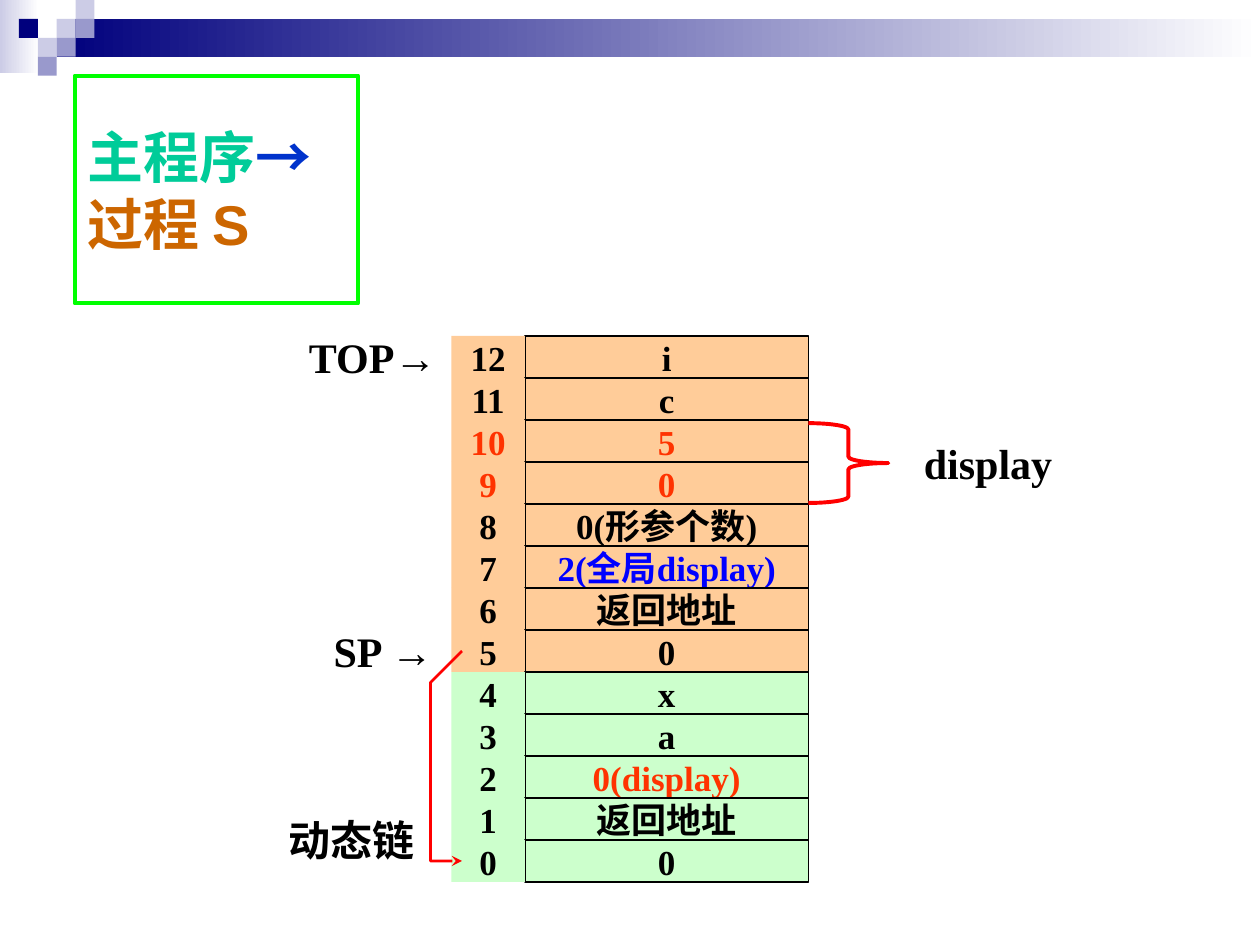
"""Draw the run-time stack after the main program calls procedure S."""
import dataclasses
import typing

import pptx
import pptx.dml.color
import pptx.enum.shapes
import pptx.enum.text
import pptx.oxml
import pptx.oxml.ns
import pptx.util

COLS, ROWS = 120, 90
KIND = pptx.enum.shapes.MSO_SHAPE
ALIGN = pptx.enum.text.PP_ALIGN
MID = pptx.enum.text.MSO_ANCHOR.MIDDLE


@dataclasses.dataclass(frozen=True)
class Theme:
    navy: str = "00007D"
    lilac: str = "9999CC"
    pale: str = "CCCCE6"
    white: str = "FFFFFF"
    black: str = "000000"
    red: str = "FF0000"
    hot: str = "FF3300"
    blue: str = "0000FF"
    lime: str = "00FF00"
    teal: str = "00CC99"
    royal: str = "0033CC"
    brown: str = "CC6600"
    peach: str = "FFCC99"
    mint: str = "CCFFCC"
    sans: str = "Arial"
    serif: str = "Times New Roman"
    cell: int = 20
    label: int = 24
    head: int = 32


T = Theme()


class Box(typing.NamedTuple):
    left: float
    top: float
    width: float
    height: float


class Run(typing.NamedTuple):
    text: str
    size: int
    ink: str = T.black
    face: str = T.serif


class Slot(typing.NamedTuple):
    text: str
    ink: str = T.black
    key: str = T.black


class Label(typing.NamedTuple):
    left: float
    top: float
    runs: list[Run]


class Tile(typing.NamedTuple):
    col: int
    row: int
    fill: str


TOP, STEP = 32, 4
SLOTS = [
    Slot("i"), Slot("c"), Slot("5", T.hot, T.hot), Slot("0", T.hot, T.hot),
    Slot("0(形参个数)"), Slot("2(全局display)", T.blue), Slot("返回地址"),
    Slot("0"), Slot("x"), Slot("a"), Slot("0(display)", T.hot),
    Slot("返回地址"), Slot("0"),
]
FRAME = 5
ARROW = Run("→", T.label, face=T.sans)
LABELS = [
    Label(27, TOP, [Run("TOP", T.label), ARROW]),
    Label(28, 60, [Run("SP ", T.label), ARROW]),
    Label(25, 78, [Run("动态链", T.label)]),
    Label(85.6, 42.1, [Run("display", T.label)]),
]
SIDE = 1.8
TILES = [
    Tile(3, 1, T.pale), Tile(4, 0, T.pale), Tile(4, 1, T.lilac),
    Tile(2, 2, T.pale), Tile(1, 1, T.navy), Tile(3, 2, T.lilac),
    Tile(2, 3, T.lilac),
]
FADES = [
    (Box(0, 0, 3.7, 7), T.pale),
    (Box(3 * SIDE, SIDE, COLS - 3 * SIDE, 2 * SIDE), T.navy),
]
LINK = [(44, 62), (41, 65), (41, 82), (44, 82)]

deck = pptx.Presentation()
deck.slide_width, deck.slide_height = pptx.util.Inches(10), pptx.util.Inches(7.5)
slide = deck.slides.add_slide(deck.slide_layouts[5])


def rgb(code: str) -> pptx.dml.color.RGBColor:
    return pptx.dml.color.RGBColor.from_string(code)


def spot(col: float, row: float) -> tuple[int, int]:
    return (round(deck.slide_width * col / COLS),
            round(deck.slide_height * row / ROWS))


def area(box: Box) -> tuple[int, int, int, int]:
    return spot(box.left, box.top) + spot(box.width, box.height)


def apply(item: typing.Any, form: dict[str, typing.Any]) -> None:
    for name, value in form.items():
        setattr(item, name, value)


def write(shape: typing.Any, runs: list[Run], align: typing.Any = ALIGN.CENTER,
          wrap: bool = False, pad: float = 0.05) -> None:
    frame = shape.text_frame
    side, edge = pptx.util.Inches(0.1), pptx.util.Inches(pad)
    apply(frame, dict(word_wrap=wrap, auto_size=pptx.enum.text.MSO_AUTO_SIZE.NONE,
                      vertical_anchor=MID, margin_left=side, margin_right=side,
                      margin_top=edge, margin_bottom=edge))
    para = frame.paragraphs[0]
    para.alignment = align
    for run in runs:
        part = para.add_run()
        part.text = run.text
        apply(part.font, dict(name=run.face, size=pptx.util.Pt(run.size), bold=True))
        part.font.color.rgb = rgb(run.ink)


def stroke(shape: typing.Any, ink: str, width: float) -> None:
    shape.line.color.rgb = rgb(ink)
    shape.line.width = pptx.util.Pt(width)


def block(kind: typing.Any, box: Box, fill: str | None = None) -> typing.Any:
    shape = slide.shapes.add_shape(kind, *area(box))
    shape.shadow.inherit = False
    shape.line.fill.background()
    if fill:
        shape.fill.solid()
        shape.fill.fore_color.rgb = rgb(fill)
    else:
        shape.fill.background()
    return shape


def fade(box: Box, ink: str) -> None:
    fill = block(KIND.RECTANGLE, box).fill
    fill.gradient()
    fill.gradient_angle = 0
    for stop, code, place in zip(fill.gradient_stops, (ink, T.white), (0, 1)):
        stop.color.rgb = rgb(code)
        stop.position = place


def stack() -> None:
    last = len(SLOTS) - 1
    for row, slot in enumerate(SLOTS):
        spot_no = last - row
        fill = T.peach if spot_no >= FRAME else T.mint
        top = TOP + STEP * row
        cell = block(KIND.RECTANGLE, Box(50, top, 27, STEP), fill)
        stroke(cell, T.black, 1)
        write(cell, [Run(slot.text, T.cell, slot.ink)], pad=0)
        side = block(KIND.RECTANGLE, Box(43, top, 7, STEP), fill)
        write(side, [Run(str(spot_no), T.cell, slot.key)], pad=0)


def chain() -> None:
    first, *rest = [spot(*point) for point in LINK]
    build = slide.shapes.build_freeform(*first)
    build.add_line_segments(rest, close=False)
    shape = build.convert_to_shape()
    shape.shadow.inherit = False
    shape.fill.background()
    stroke(shape, T.red, 1.5)
    space = pptx.oxml.ns.nsdecls("a")
    shape.line._get_or_add_ln().append(
        pptx.oxml.parse_xml(f'<a:tailEnd {space} type="stealth"/>'))


def main() -> None:
    for box, ink in FADES:
        fade(box, ink)
    for tile in TILES:
        block(KIND.RECTANGLE, Box(tile.col * SIDE, tile.row * SIDE, SIDE, SIDE), tile.fill)
    title = slide.shapes.title
    place = area(Box(7.1, 7.2, 27, 21.7))
    apply(title, dict(zip(("left", "top", "width", "height"), place)))
    stroke(title, T.lime, 2.25)
    write(title, [Run("主程序", T.head, T.teal, T.sans), Run("→", T.head, T.royal, T.sans),
                  Run("过程 S", T.head, T.brown, T.sans)], ALIGN.LEFT, True)
    stack()
    for label in LABELS:
        write(slide.shapes.add_textbox(*area(Box(label.left, label.top, 17, STEP))), label.runs)
    chain()
    brace = block(KIND.RIGHT_BRACE, Box(77, 40.3, 7.6, 7.6))
    brace.adjustments[0] = 0.08
    stroke(brace, T.red, 2.25)
    deck.save("out.pptx")


if __name__ == "__main__":
    main()
